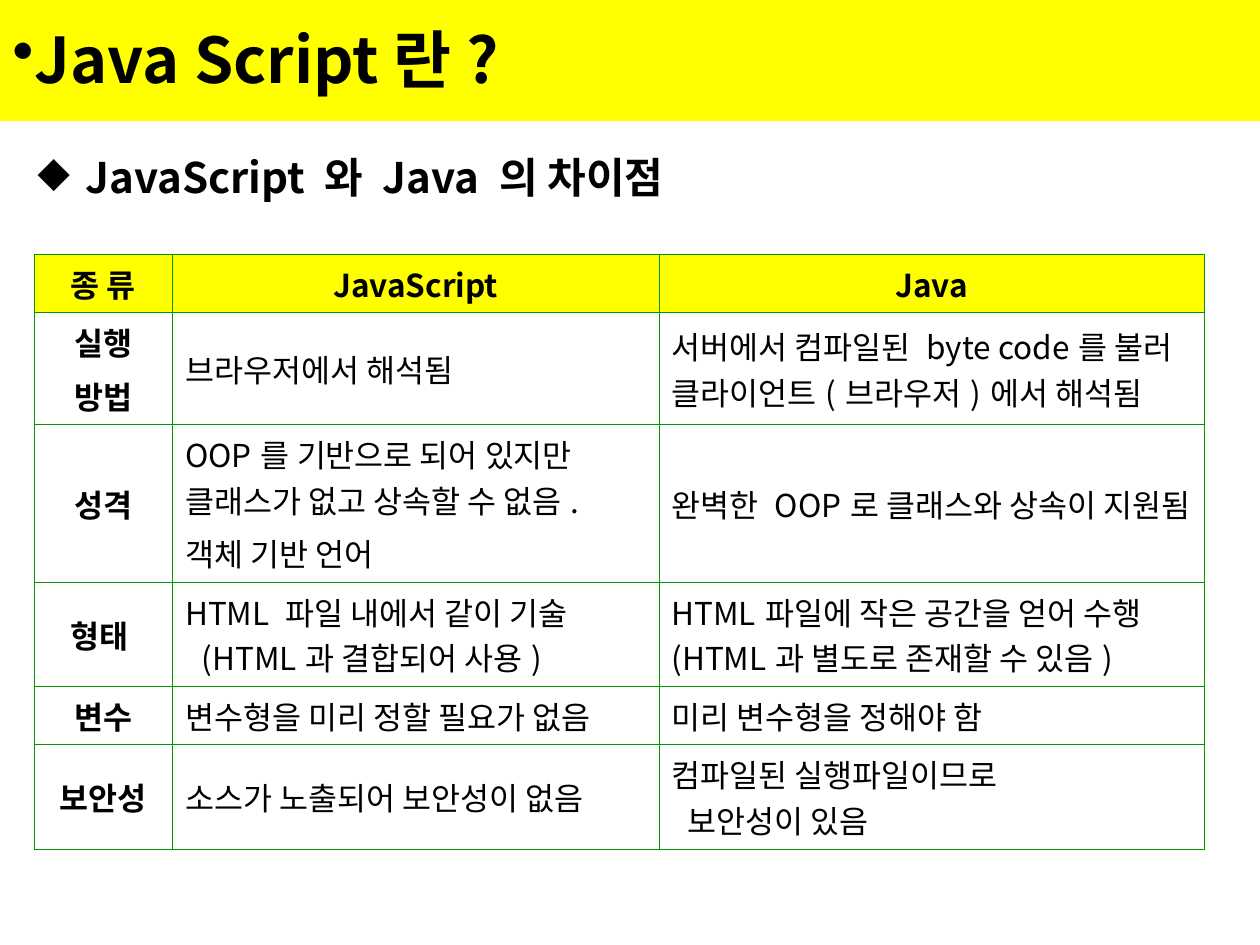
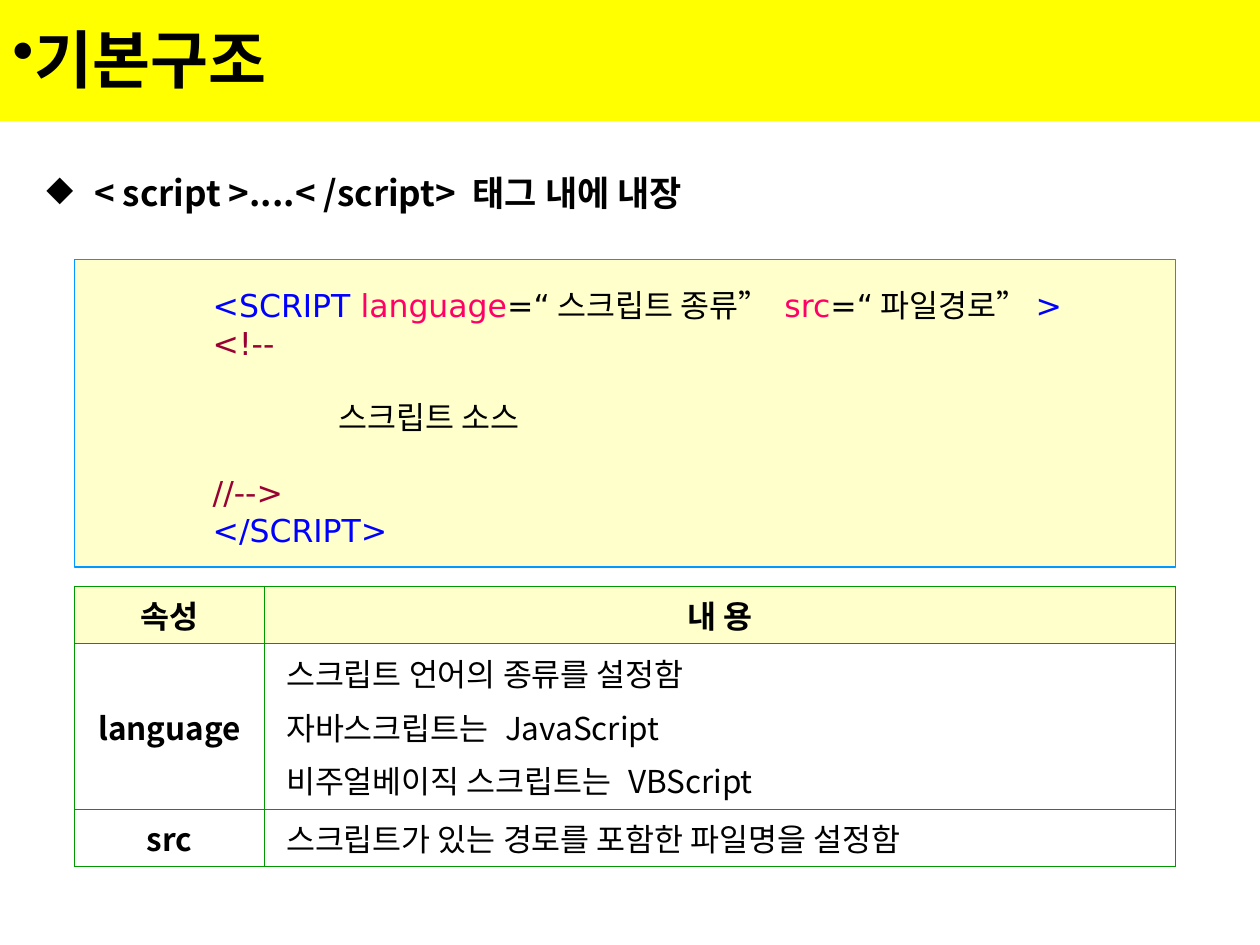
from lxml.etree import SubElement
from pptx import Presentation
from pptx.dml.color import RGBColor
from pptx.enum.shapes import MSO_SHAPE
from pptx.enum.text import MSO_ANCHOR, PP_ALIGN
from pptx.oxml.ns import qn
from pptx.util import Inches, Pt

BLACK = RGBColor(0x00, 0x00, 0x00)
YELLOW = RGBColor(0xFF, 0xFF, 0x00)
CREAM = RGBColor(0xFF, 0xFF, 0xCC)
SKY = RGBColor(0x00, 0x99, 0xFF)
GREEN = RGBColor(0x00, 0x99, 0x00)
TAG_BLUE = RGBColor(0x00, 0x00, 0xFF)
ATTRIBUTE_PINK = RGBColor(0xFF, 0x00, 0x66)
COMMENT_RED = RGBColor(0x99, 0x00, 0x33)

KOREAN_FONT = "Noto Sans CJK KR"
CODE_FONT = "DejaVu Sans"
CELL_SPACING = 4.5


def write_text(paragraph, text, size=18, color=BLACK, bold=False, font=KOREAN_FONT,
               align=PP_ALIGN.LEFT, before=0, indent=0, hanging=0, bullet=None):
    """Format the paragraph and fill it with text, or with a list of (text, color) runs."""
    paragraph.alignment = align
    paragraph.space_before = Pt(before)
    properties = paragraph._p.get_or_add_pPr()
    properties.set("marL", str(Inches(indent)))
    properties.set("indent", str(-Inches(hanging)))
    if bullet:
        SubElement(properties, qn("a:buChar")).set("char", bullet)
    parts = [(text, color)] if isinstance(text, str) else text
    for part, part_color in parts:
        for number, line in enumerate(part.split("\n")):
            if number:
                paragraph.add_line_break()
            run = paragraph.add_run()
            run.text = line
            run.font.size = Pt(size)
            run.font.bold = bold
            run.font.name = font
            run.font.color.rgb = part_color
            east_asian = SubElement(run._r.get_or_add_rPr(), qn("a:ea"))
            east_asian.set("typeface", KOREAN_FONT)


def border_cell(cell, color, width):
    properties = cell._tc.get_or_add_tcPr()
    for number, side in enumerate(("a:lnL", "a:lnR", "a:lnT", "a:lnB")):
        line = properties.makeelement(qn(side), {"w": str(Pt(width))})
        fill = SubElement(line, qn("a:solidFill"))
        SubElement(fill, qn("a:srgbClr")).set("val", str(color))
        properties.insert(number, line)


class Deck:
    """Holds the presentation, its shared style and the current slide."""

    def __init__(self):
        self.presentation = Presentation()
        self.presentation.slide_width = Inches(10)
        self.presentation.slide_height = Inches(7.5)
        self.slide = None

    def add_slide(self, title):
        self.slide = self.presentation.slides.add_slide(self.presentation.slide_layouts[6])
        band = self.add_rectangle(0, -0.03, 10, 0.99, YELLOW)
        band.text_frame.vertical_anchor = MSO_ANCHOR.MIDDLE
        write_text(band.text_frame.paragraphs[0], title, size=36, bold=True, bullet="•")

    def add_rectangle(self, left, top, width, height, fill, line=None):
        shape = self.slide.shapes.add_shape(
            MSO_SHAPE.RECTANGLE, Inches(left), Inches(top), Inches(width), Inches(height))
        shape.shadow.inherit = False
        shape.fill.solid()
        shape.fill.fore_color.rgb = fill
        if line is None:
            shape.line.fill.background()
        else:
            shape.line.color.rgb = line
            shape.line.width = Pt(0.75)
        shape.text_frame.word_wrap = True
        return shape

    def add_heading(self, text, left, top, width, size):
        box = self.slide.shapes.add_textbox(
            Inches(left), Inches(top), Inches(width), Inches(0.79))
        box.text_frame.word_wrap = True
        write_text(box.text_frame.paragraphs[0], text, size=size, bold=True,
                   indent=0.38, hanging=0.38, bullet="◆")

    def add_code(self, lines, left, top, width, height):
        """Each line is (runs, indent, space before)."""
        frame = self.add_rectangle(left, top, width, height, CREAM, SKY).text_frame
        frame.vertical_anchor = MSO_ANCHOR.TOP
        frame.margin_top = Inches(0.21)
        for number, (runs, indent, before) in enumerate(lines):
            paragraph = frame.add_paragraph() if number else frame.paragraphs[0]
            write_text(paragraph, runs, font=CODE_FONT, indent=indent, before=before)

    def add_table(self, rows, left, top, widths, heights, header_fill, body_indent=0):
        """Each cell is one text or a list of paragraphs; (text, format) overrides the style."""
        table = self.slide.shapes.add_table(
            len(rows), len(widths), Inches(left), Inches(top),
            Inches(sum(widths)), Inches(sum(heights))).table
        for column, width in zip(table.columns, widths):
            column.width = Inches(width)
        for row, height in zip(table.rows, heights):
            row.height = Inches(height)
        for row_number, row in enumerate(rows):
            for column_number, content in enumerate(row):
                cell = table.cell(row_number, column_number)
                is_label = row_number == 0 or column_number == 0
                cell.vertical_anchor = MSO_ANCHOR.MIDDLE
                if row_number == 0:
                    cell.fill.solid()
                    cell.fill.fore_color.rgb = header_fill
                else:
                    cell.fill.background()
                border_cell(cell, GREEN, 0.45)
                paragraphs = content if isinstance(content, list) else [content]
                for number, item in enumerate(paragraphs):
                    text, changes = (item, {}) if isinstance(item, str) else item
                    style = {
                        "bold": is_label,
                        "align": PP_ALIGN.CENTER if is_label else PP_ALIGN.LEFT,
                        "indent": 0 if is_label else body_indent,
                        "before": CELL_SPACING if number else 0,
                    }
                    frame = cell.text_frame
                    paragraph = frame.add_paragraph() if number else frame.paragraphs[0]
                    write_text(paragraph, text, **{**style, **changes})


def build_comparison_slide(deck):
    continuation = {"indent": 0.13, "before": 0}
    deck.add_slide("Java Script란?")
    deck.add_heading("JavaScript 와 Java 의 차이점", 0.2, 1.15, 9.07, size=24)
    deck.add_table(
        [
            ["종 류", "JavaScript", "Java"],
            [["실행", "방법"], "브라우저에서 해석됨",
             "서버에서 컴파일된 byte code를 불러 클라이언트(브라우저)에서 해석됨"],
            ["성격",
             ["OOP를 기반으로 되어 있지만 클래스가 없고 상속할 수 없음.", "객체 기반 언어"],
             "완벽한 OOP로 클래스와 상속이 지원됨"],
            ["형태 ",
             ["HTML 파일 내에서 같이 기술", ("(HTML과 결합되어 사용)", continuation)],
             "HTML파일에 작은 공간을 얻어 수행\n(HTML과 별도로 존재할 수 있음)"],
            ["변수", "변수형을 미리 정할 필요가 없음", "미리 변수형을 정해야 함"],
            ["보안성", "소스가 노출되어 보안성이 없음",
             ["컴파일된 실행파일이므로", ("보안성이 있음", continuation)]],
        ],
        0.27, 2.02, widths=[1.1, 3.86, 4.33],
        heights=[0.46, 0.89, 1.25, 0.83, 0.46, 0.83], header_fill=YELLOW)


def build_structure_slide(deck):
    blank_line = 21
    opening_tag = [
        ("<SCRIPT ", TAG_BLUE), ("language", ATTRIBUTE_PINK), ("=“스크립트 종류” ", BLACK),
        ("src", ATTRIBUTE_PINK), ("=“파일경로”", BLACK), (">", TAG_BLUE),
    ]
    deck.add_slide("기본구조")
    deck.add_heading("< script >....< /script> 태그 내에 내장", 0.27, 1.31, 8.44, size=20)
    deck.add_code(
        [
            (opening_tag, 1, 0),
            ([("<!--", COMMENT_RED)], 1, 0),
            ([("스크립트 소스", BLACK)], 2, blank_line),
            ([("//-->", COMMENT_RED)], 1, blank_line),
            ([("</SCRIPT>", TAG_BLUE)], 1, 0),
        ],
        0.59, 2.06, 8.74, 2.44)
    deck.add_table(
        [
            ["속성", "내 용"],
            ["language", ["스크립트 언어의 종류를 설정함", "자바스크립트는 JavaScript",
                          "비주얼베이직 스크립트는 VBScript"]],
            ["src", "스크립트가 있는 경로를 포함한 파일명을 설정함"],
        ],
        0.59, 4.65, widths=[1.51, 7.23], heights=[0.46, 1.31, 0.46],
        header_fill=CREAM, body_indent=0.07)


def main():
    deck = Deck()
    build_comparison_slide(deck)
    build_structure_slide(deck)
    deck.presentation.save("out.pptx")


if __name__ == "__main__":
    main()
